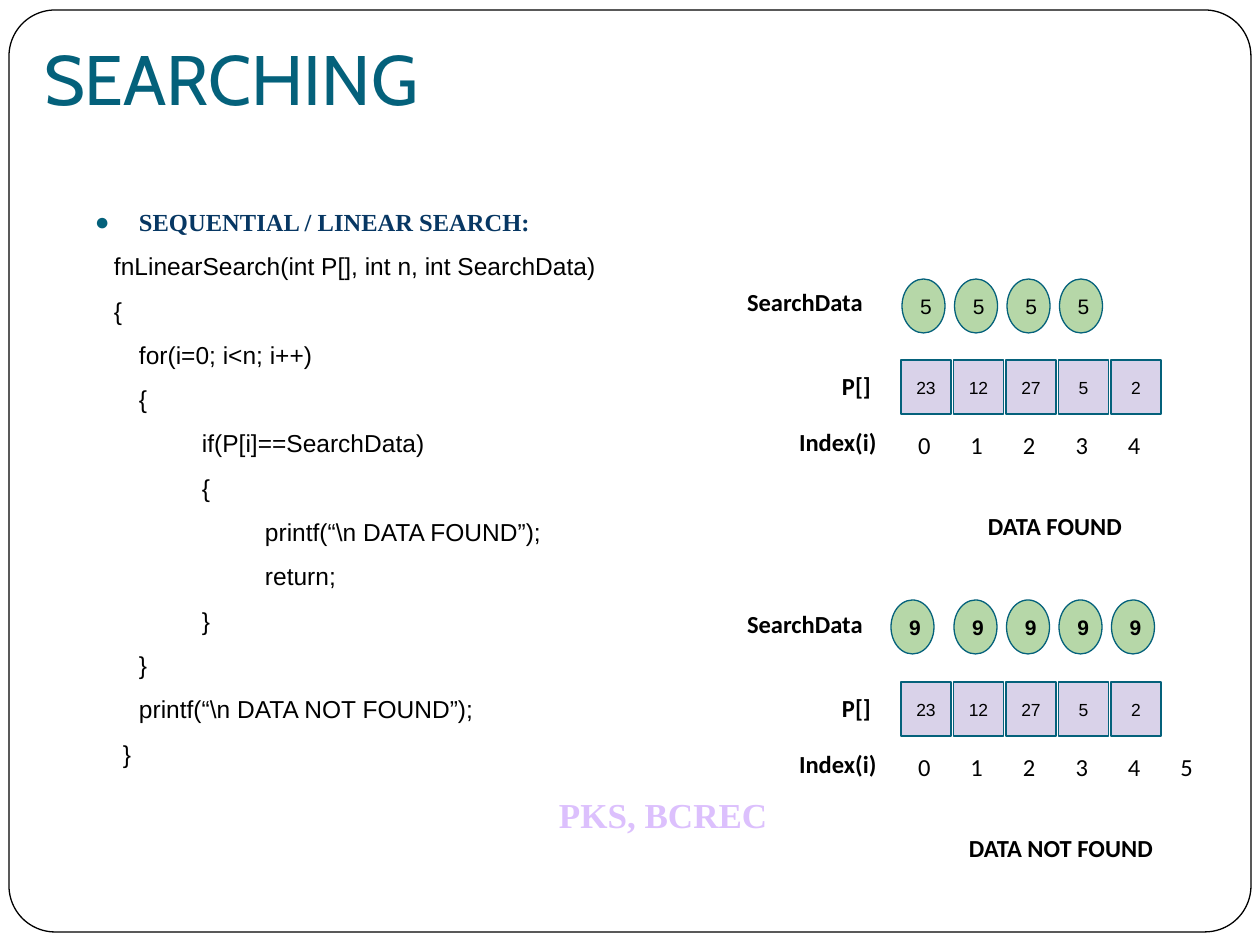
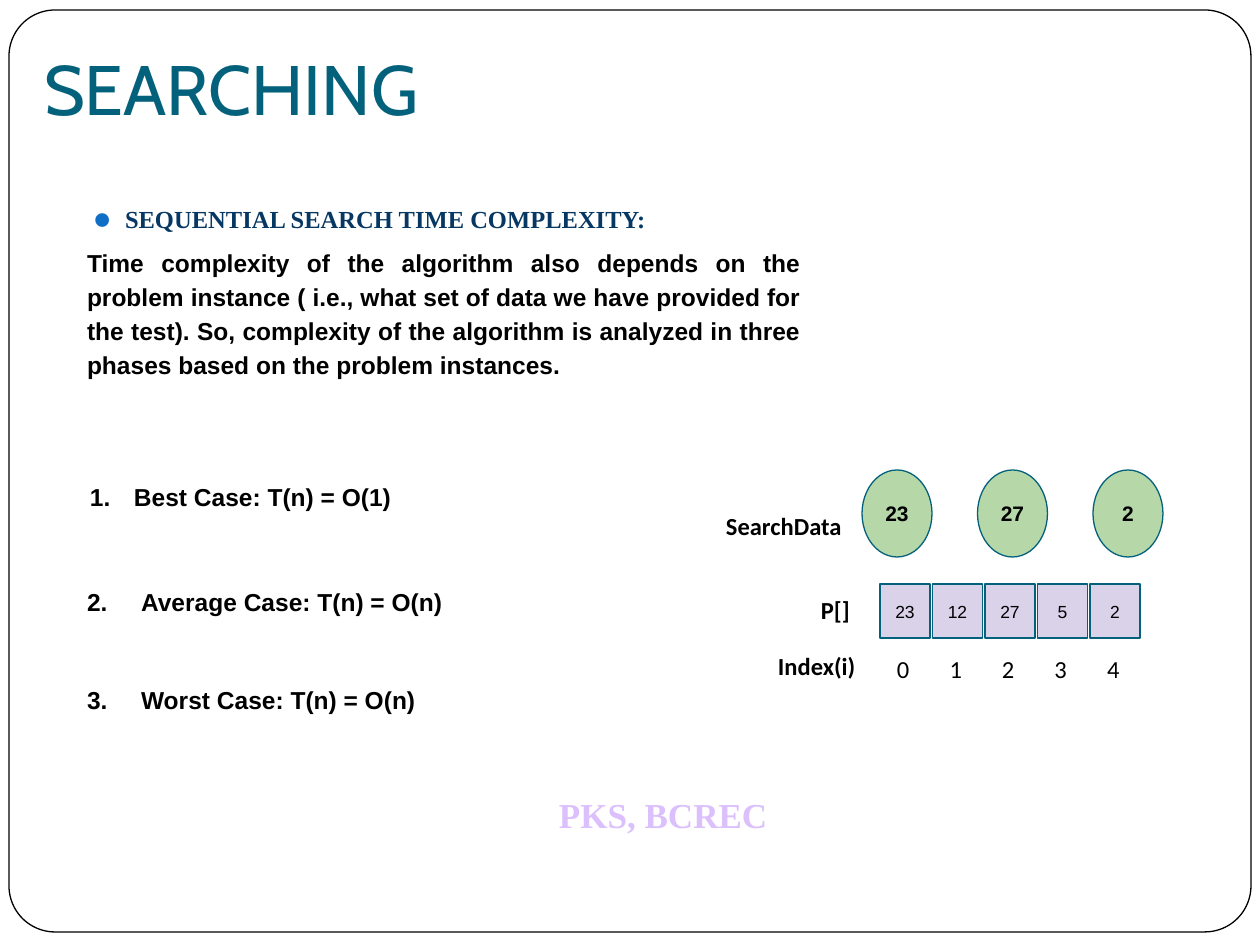
from lxml.etree import SubElement
from pptx import Presentation
from pptx.dml.color import RGBColor
from pptx.enum.shapes import MSO_SHAPE as Shape
from pptx.enum.text import MSO_ANCHOR as Anchor, MSO_AUTO_SIZE as AutoSize, PP_ALIGN as Align
from pptx.oxml.ns import qn
from pptx.util import Emu, Pt

EMU_PER_PX = 914400 / 126
TEAL, BLUE, NAVY, BLACK, WHITE = "04617B", "0F6FC6", "073763", "000000", "FFFFFF"
LILAC, GREEN, PALE_VIOLET = "D9D2E9", "B6D7A8", "DCC0FD"
SANS, SERIF, LABEL, DISPLAY = "Arial", "Times New Roman", "Calibri", "Cabin"
ARRAY = [23, 12, 27, 5, 2]

# Code lines with their indents
CODE = [
    (38, "fnLinearSearch(int P[], int n, int SearchData)"),
    (38, "{"),
    (63, "for(i=0; i<n; i++)"),
    (63, "{"),
    (126, "if(P[i]==SearchData)"),
    (126, "{"),
    (189, "printf(“\\n DATA FOUND”);"),
    (189, "return;"),
    (126, "}"),
    (63, "}"),
    (63, "printf(“\\n DATA NOT FOUND”);"),
    (47, "}"),
]


def px(length):
    return Emu(round(length * EMU_PER_PX))


def color(hex_string):
    return RGBColor.from_string(hex_string)


def place(shape, box):
    shape.left, shape.top, shape.width, shape.height = map(px, box)


def set_frame(shape, anchor=Anchor.TOP, vertical=(13, 13), side=13):
    frame = shape.text_frame
    frame.word_wrap = True
    frame.auto_size = AutoSize.NONE
    frame.vertical_anchor = anchor
    frame.margin_left = frame.margin_right = px(side)
    frame.margin_top, frame.margin_bottom = map(px, vertical)
    return frame


def set_indent(para, left, first=0):
    props = para._p.get_or_add_pPr()
    props.set("marL", str(px(left)))
    props.set("indent", str(px(first)))
    return props


def set_bullet(para, tint, left, hang, char=None, number=None):
    props = set_indent(para, left, -hang)
    SubElement(SubElement(props, qn("a:buClr")), qn("a:srgbClr"), val=tint)
    SubElement(props, qn("a:buSzPct"), val="100000")
    if char:
        SubElement(props, qn("a:buFont"), typeface=SANS)
        SubElement(props, qn("a:buChar"), char=char)
    else:
        SubElement(props, qn("a:buAutoNum"), type="arabicPeriod", startAt=str(number))


def set_plain(para, left=0):
    SubElement(set_indent(para, left), qn("a:buNone"))


def write(para, text, size, face, tint=BLACK, bold=False, align=Align.LEFT):
    para.text = str(text)
    para.alignment = align
    font = para.font
    font.size, font.name, font.bold = Pt(size), face, bold
    font.color.rgb = color(tint)


def set_spacing(para, lines=1.15, before=6):
    para.line_spacing = lines
    para.space_before = Pt(before)


def add_label(page, box, text, size=14, face=LABEL, tint=BLACK, bold=True):
    label = page.shapes.add_textbox(*map(px, box))
    write(set_frame(label).paragraphs[0], text, size, face, tint, bold)
    return label


def add_block(page, kind, box, fill, line=TEAL):
    block = page.shapes.add_shape(kind, *map(px, box))
    block.shadow.inherit = False
    block.fill.solid()
    block.fill.fore_color.rgb = color(fill)
    block.line.color.rgb = color(line)
    block.line.width = Pt(0.75)
    return block


def add_value(page, kind, box, fill, value, size, bold=False):
    block = add_block(page, kind, box, fill)
    para = set_frame(block, Anchor.MIDDLE, side=12).paragraphs[0]
    write(para, value, size, SANS, bold=bold, align=Align.CENTER)


# Frame and footer, moved behind the layout's placeholders
def add_backdrop(page):
    border = add_block(page, Shape.ROUNDED_RECTANGLE, (9, 10, 1242, 922), WHITE, BLACK)
    border.adjustments[0] = 0.05
    footer = add_label(page, (546, 787, 290, 55), "PKS, BCREC", 20, SERIF, PALE_VIOLET)
    set_frame(footer, vertical=(6, 6))
    tree = page.slide_layout.shapes._spTree
    for position, part in enumerate((border, footer), start=2):
        tree.insert(position, part._element)


def add_page(deck, title_top):
    page = deck.slides.add_slide(deck.slide_layouts[1])
    title = page.shapes.title
    place(title, (31, title_top, 1071, 105))
    frame = set_frame(title, Anchor.BOTTOM, (6, 13))
    write(frame.paragraphs[0], "SEARCHING", 40, DISPLAY, TEAL)
    return page


# Search values in ovals, evenly spaced
def add_targets(page, values, box, pitch, bold=True):
    left, top, width, height = box
    for step, value in enumerate(values):
        oval = (left + step * pitch, top, width, height)
        add_value(page, Shape.OVAL, oval, GREEN, value, 12, bold)


# Array cells with their labels and indices; the origin is the first cell's corner
def add_array(page, left, top, index_count=len(ARRAY)):
    pitch = 52.5
    for step, value in enumerate(ARRAY):
        cell = (left + step * pitch, top, 50, 54)
        add_value(page, Shape.RECTANGLE, cell, LILAC, value, 10)
    for step in range(index_count):
        add_label(page, (left + 4 + step * pitch, top + 57, 44, 54), step, bold=False)
    add_label(page, (left - 72, top - 2, 62, 42), "P[]")
    add_label(page, (left - 167, top - 86, 157, 42), "SearchData")
    add_label(page, (left - 115, top + 54, 108, 42), "Index(i)")


def add_code(page, box):
    body = page.placeholders[1]
    place(body, box)
    frame = set_frame(body, Anchor.BOTTOM, (6, 13))
    heading = frame.paragraphs[0]
    set_spacing(heading)
    set_bullet(heading, TEAL, 63, 44, char="●")
    write(heading, "SEQUENTIAL / LINEAR SEARCH:", 14, SERIF, NAVY, True)
    for indent, text in CODE:
        para = frame.add_paragraph()
        set_spacing(para)
        set_plain(para, indent)
        write(para, text, 14, SANS)


def add_explanation(page, box):
    body = page.placeholders[1]
    place(body, box)
    frame = set_frame(body)
    heading, detail = frame.paragraphs[0], frame.add_paragraph()
    set_spacing(heading, 1.0, 0)
    set_bullet(heading, BLUE, 38, 30, char="⚫")
    write(heading, "SEQUENTIAL SEARCH TIME COMPLEXITY:", 14, SERIF, NAVY, True)
    set_spacing(detail)
    set_plain(detail)
    write(detail, "Time complexity of the algorithm also depends on the problem instance "
          "( i.e., what set of data we have provided for the test). So, complexity of the "
          "algorithm is analyzed in three phases based on the problem instances.",
          14, SANS, bold=True, align=Align.JUSTIFY)


def add_cases(page, left):
    cases = [
        ("Best Case: T(n) = O(1)", 465, 3, 44),
        ("Average Case: T(n) = O(n)", 570, 0, 54),
        ("Worst Case: T(n) = O(n)", 668, 0, 54),
    ]
    for number, (text, top, shift, hang) in enumerate(cases, start=1):
        case = page.shapes.add_textbox(*map(px, (left + shift, top, 407, 87)))
        para = set_frame(case).paragraphs[0]
        set_spacing(para)
        set_bullet(para, BLACK, hang, hang, number=number)
        write(para, text, 14, SANS, bold=True)


def build_linear_search(deck):
    page = add_page(deck, 28)
    add_backdrop(page)
    add_code(page, (63, 190, 639, 591))
    # Value found
    add_array(page, 901, 360)
    add_targets(page, [5] * 4, (902, 279, 43, 54), 52.5, bold=False)
    add_label(page, (975, 498, 166, 42), "DATA FOUND")
    # Value missing
    add_array(page, 901, 682, index_count=6)
    add_targets(page, [9], (891, 600, 43, 54), 0)
    add_targets(page, [9] * 4, (954, 600, 43, 54), 52.5)
    add_label(page, (956, 820, 237, 42), "DATA NOT FOUND")


def build_complexity(deck):
    page = add_page(deck, 38)
    add_explanation(page, (74, 191, 740, 202))
    add_cases(page, 74)
    add_array(page, 880, 584)
    add_targets(page, [23, 27, 2], (862, 470, 70, 87), 115.5)


def main():
    deck = Presentation()
    deck.slide_width, deck.slide_height = px(1260), px(945)
    build_linear_search(deck)
    build_complexity(deck)
    deck.save("out.pptx")


if __name__ == "__main__":
    main()
